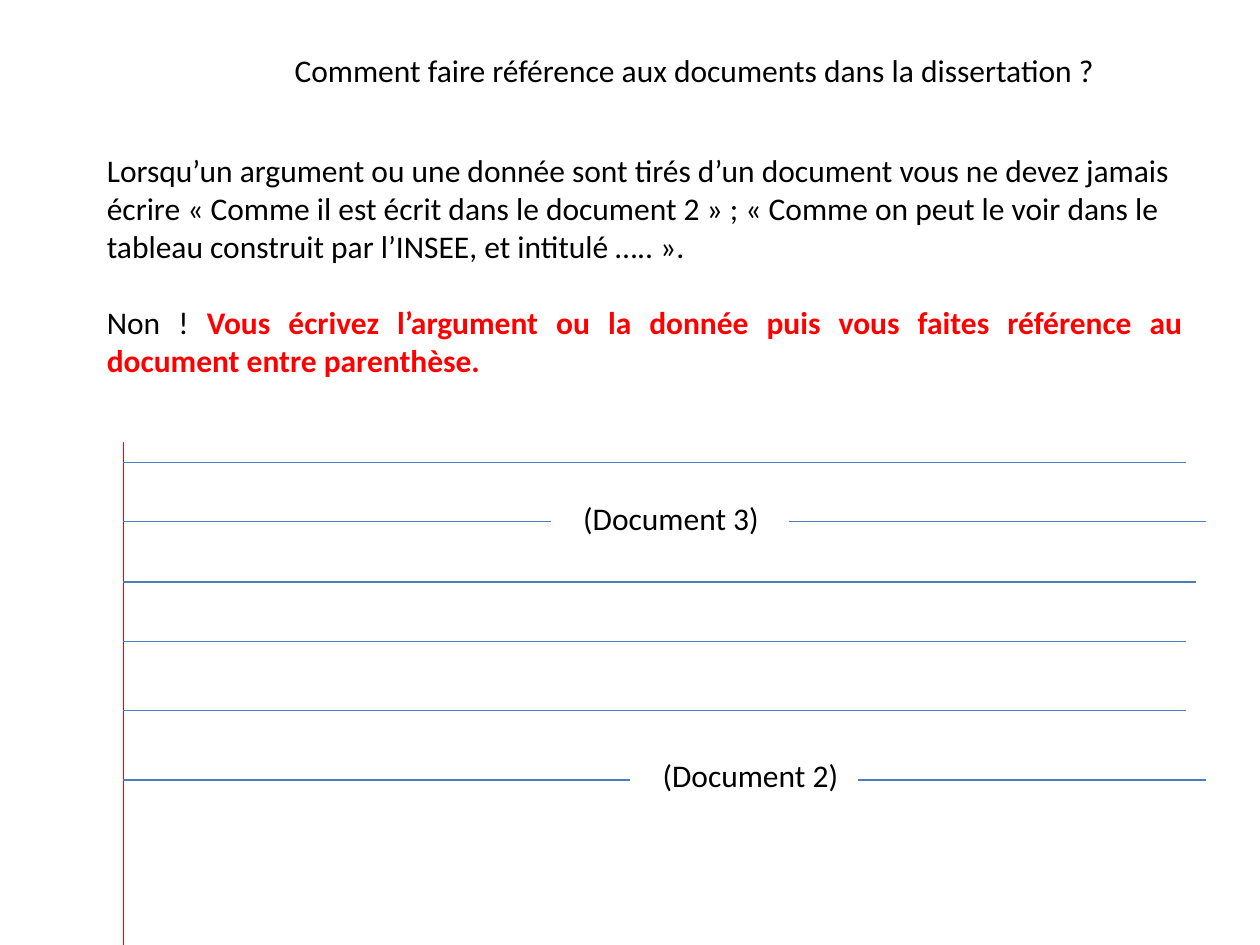
from dataclasses import dataclass

from lxml.etree import SubElement
from pptx import Presentation
from pptx.dml.color import RGBColor
from pptx.enum.shapes import MSO_CONNECTOR
from pptx.enum.text import MSO_AUTO_SIZE, PP_ALIGN
from pptx.oxml.ns import qn
from pptx.util import Inches, Pt


@dataclass(frozen=True)
class Theme:
    """Colours, font and sizes of the slide."""
    ink: RGBColor = RGBColor(0x00, 0x00, 0x00)
    accent: RGBColor = RGBColor(0xFF, 0x00, 0x00)
    ruling: RGBColor = RGBColor(0x4B, 0x7E, 0xBC)
    font: str = "Calibri"
    body: Pt = Pt(18)
    stroke: Pt = Pt(0.75)
    paragraph_gap: Pt = Pt(22)


class LessonSlide:
    """Draws styled elements on one slide."""

    def __init__(self, slide, theme):
        """Keep the slide and its theme."""
        self.slide = slide
        self.theme = theme

    def text(self, left, top, width, height, *paragraphs):
        """Add a text box; each paragraph is (alignment, [(words, emphasised)])."""
        box = self.slide.shapes.add_textbox(
            Inches(left), Inches(top), Inches(width), Inches(height))
        frame = box.text_frame
        frame.word_wrap = True
        frame.auto_size = MSO_AUTO_SIZE.SHAPE_TO_FIT_TEXT
        for index, (alignment, pieces) in enumerate(paragraphs):
            paragraph = frame.add_paragraph() if index else frame.paragraphs[0]
            paragraph.alignment = alignment
            if index:
                paragraph.space_before = self.theme.paragraph_gap
            for words, emphasised in pieces:
                run = paragraph.add_run()
                run.text = words
                run.font.name = self.theme.font
                run.font.size = self.theme.body
                run.font.bold = emphasised
                run.font.color.rgb = self.theme.accent if emphasised else self.theme.ink

    def line(self, x1, y1, x2, y2, color):
        """Add a thin straight line without shadow."""
        stroke = self.slide.shapes.add_connector(
            MSO_CONNECTOR.STRAIGHT, Inches(x1), Inches(y1), Inches(x2), Inches(y2))
        stroke.line.color.rgb = color
        stroke.line.width = self.theme.stroke
        SubElement(stroke._element.spPr, qn("a:effectLst"))


LEFT, JUSTIFIED = PP_ALIGN.LEFT, PP_ALIGN.JUSTIFY
MARGIN = 0.98
TITLE = "Comment faire référence aux documents dans la dissertation ?"
WARNING = (
    "Lorsqu’un argument ou une donnée sont tirés d’un document vous ne devez "
    "jamais écrire «\u00a0Comme il est écrit dans le document 2\u00a0» ; "
    "«\u00a0Comme on peut le voir dans le tableau construit par l’INSEE, "
    "et intitulé …..\u00a0».")
ADVICE = ("Vous écrivez l’argument ou la donnée puis vous faites référence au "
          "document entre parenthèse.")

# Height of each ruled line with its segments (start, end)
RULINGS = [
    (3.67, [(MARGIN, 9.41)]),
    (4.14, [(MARGIN, 4.37), (6.26, 9.57)]),
    (4.62, [(MARGIN, 9.49)]),
    (5.09, [(MARGIN, 9.41)]),
    (5.64, [(MARGIN, 9.41)]),
    (6.19, [(MARGIN, 5), (6.81, 9.57)]),
]
REFERENCES = [("(Document 3)", 4.53, 3.91), ("(Document 2)", 5.16, 5.95)]


def main():
    """Build and save the slide."""
    presentation = Presentation()
    presentation.slide_width = Inches(10)
    presentation.slide_height = Inches(7.5)
    theme = Theme()
    blank = presentation.slide_layouts[6]
    lesson = LessonSlide(presentation.slides.add_slide(blank), theme)

    lesson.text(2.24, 0.36, 7.17, 0.4, (LEFT, [(TITLE, False)]))
    lesson.text(0.75, 1.15, 8.74, 1.92,
                (LEFT, [(WARNING, False)]),
                (JUSTIFIED, [("Non ! ", False), (ADVICE, True)]))

    lesson.line(MARGIN, 3.51, MARGIN, 7.5, theme.accent)
    for y, segments in RULINGS:
        for start, end in segments:
            lesson.line(start, y, end, y, theme.ruling)
    for reference, left, top in REFERENCES:
        lesson.text(left, top, 1.89, 0.4, (LEFT, [(reference, False)]))

    presentation.save("out.pptx")


main()
